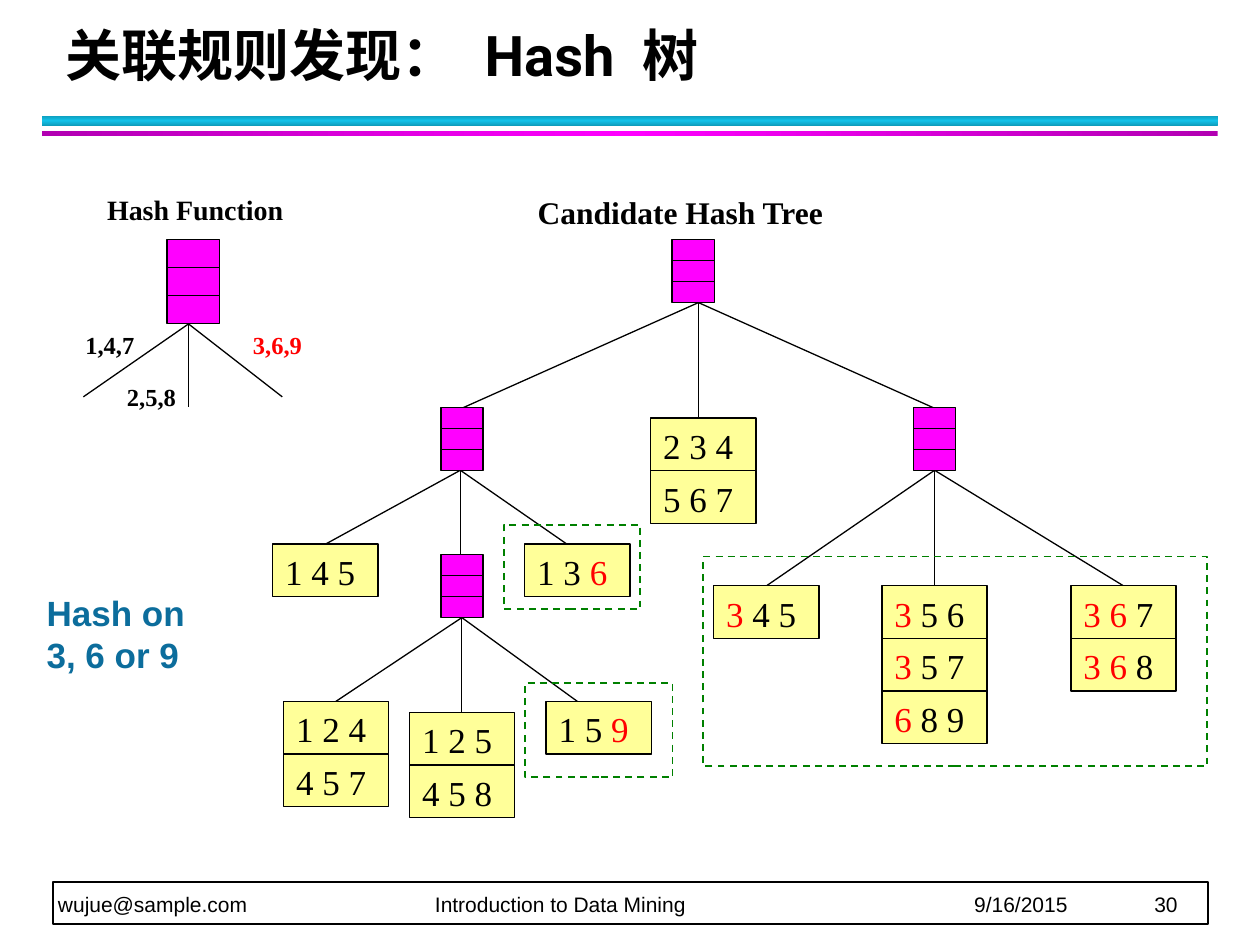
"""Build a slide that explains a candidate hash tree."""
import copy
from dataclasses import dataclass
from typing import Any, Optional

import pptx
import pptx.dml.color
import pptx.enum.dml
import pptx.enum.shapes
import pptx.enum.text
import pptx.oxml
import pptx.oxml.ns
import pptx.util

Cm = pptx.util.Cm
Pt = pptx.util.Pt
ANCHOR = pptx.enum.text.MSO_ANCHOR
SERIF, SANS, HEADING = "Times New Roman", "Arial", "Roboto"
BLACK, RED, GREEN, MAGENTA, YELLOW = "000000", "FF0000", "008000", "FF00FF", "FFFF99"
LEAF_WIDTH, LEAF_HEIGHT = 2.12, 1.06


@dataclass(frozen=True)
class Box:
    left: float
    top: float
    width: float
    height: float


@dataclass(frozen=True)
class Branching:
    hub: tuple[float, float]
    ends: tuple[tuple[float, float], ...]


@dataclass(frozen=True)
class Leaf:
    left: float
    top: float
    itemsets: tuple[str, ...]


@dataclass(frozen=True)
class Label:
    text: str
    box: Box
    size: int
    color: str = BLACK
    font: str = SERIF


BANDS = (
    (Box(0.85, 2.33, 23.7, 0.21), ("0E9BBA", "12C2E9", "0E9BBA"), 90),
    (Box(0.85, 2.64, 23.7, 0.1), ("B200B2", "FF00FF", "B200B2"), 0),
)
BRANCHINGS = (
    Branching((14.08, 6.1), ((9.31, 8.23), (14.08, 8.43), (18.84, 8.23))),
    Branching((9.28, 9.48), ((6.56, 10.97), (9.28, 11.18), (11.43, 10.97))),
    Branching((18.84, 9.48), ((15.45, 11.81), (18.84, 11.81), (22.65, 11.81))),
    Branching((9.31, 12.45), ((6.77, 14.14), (9.31, 14.36), (11.64, 14.14))),
    Branching((3.8, 6.53), ((1.68, 8.0), (3.8, 8.2), (5.69, 8.0))),
)
BUCKETS = (
    Box(13.55, 4.83, 0.85, 1.27),
    Box(8.89, 8.21, 0.85, 1.27),
    Box(18.41, 8.21, 0.85, 1.27),
    Box(8.89, 11.18, 0.85, 1.27),
    Box(3.37, 4.83, 1.06, 1.69),
)
LEAVES = (
    Leaf(13.12, 8.43, ("2 3 4", "5 6 7")),
    Leaf(5.5, 10.97, ("1 4 5",)),
    Leaf(10.58, 10.97, ("1 3 |6",)),
    Leaf(14.39, 11.81, ("|3| 4 5",)),
    Leaf(17.78, 11.81, ("|3| 5 6", "|3| 5 7", "|6| 8 9")),
    Leaf(21.59, 11.81, ("|3 6| 7", "|3 6| 8")),
    Leaf(5.72, 14.14, ("1 2 4", "4 5 7")),
    Leaf(8.26, 14.36, ("1 2 5", "4 5 8")),
    Leaf(11.01, 14.14, ("1 5 |9",)),
)
LABELS = (
    Label("1,4,7", Box(1.47, 6.53, 1.6, 0.86), 14),
    Label("2,5,8", Box(2.31, 7.57, 1.6, 0.86), 14),
    Label("3,6,9", Box(4.85, 6.53, 1.6, 0.86), 14, RED),
    Label("Hash Function", Box(1.91, 3.76, 4.4, 0.94), 16),
    Label("Candidate Hash Tree", Box(10.59, 3.76, 6.6, 1.02), 18),
    Label("Hash on 3, 6 or 9", Box(0.69, 11.79, 4.01, 1.96), 20, "0C6D9C", SANS),
)
HIGHLIGHTS = (
    Box(10.59, 13.77, 2.97, 1.9),
    Box(14.18, 11.22, 10.16, 4.23),
    Box(10.16, 10.58, 2.75, 1.7),
)
FOOTER_TABS = (7.6, 18.47, 22.1)


def rgb(color: str) -> pptx.dml.color.RGBColor:
    return pptx.dml.color.RGBColor.from_string(color)


def apply(target: Any, values: dict[str, Any]) -> None:
    for name, value in values.items():
        setattr(target, name, value)


def lengths(box: Box) -> tuple:
    return Cm(box.left), Cm(box.top), Cm(box.width), Cm(box.height)


def add_rectangle(slide: Any, box: Box, fill: Optional[str], line: Optional[str] = BLACK,
                  weight: float = 0.75) -> Any:
    rectangle = slide.shapes.add_shape(pptx.enum.shapes.MSO_SHAPE.RECTANGLE, *lengths(box))
    rectangle.shadow.inherit = False
    if fill:
        rectangle.fill.solid()
        rectangle.fill.fore_color.rgb = rgb(fill)
    else:
        rectangle.fill.background()
    if line:
        rectangle.line.color.rgb = rgb(line)
        rectangle.line.width = Pt(weight)
    else:
        rectangle.line.fill.background()
    return rectangle


def add_band(slide: Any, box: Box, colors: tuple[str, ...], angle: int) -> None:
    band = add_rectangle(slide, box, None, None)
    band.fill.gradient()
    band.fill.gradient_angle = angle
    stops = next(band._element.iter(pptx.oxml.ns.qn("a:gsLst")))
    stops.append(copy.deepcopy(stops[0]))
    for index, (stop, color) in enumerate(zip(band.fill.gradient_stops, colors)):
        apply(stop, {"position": index / 2})
        stop.color.rgb = rgb(color)


def add_line(slide: Any, start: tuple[float, float], end: tuple[float, float]) -> None:
    points = [Cm(length) for length in (*start, *end)]
    line = slide.shapes.add_connector(pptx.enum.shapes.MSO_CONNECTOR.STRAIGHT, *points)
    line.line.color.rgb = rgb(BLACK)
    line.line.width = Pt(0.75)
    line._element.spPr.append(pptx.oxml.parse_xml(f'<a:effectLst {pptx.oxml.ns.nsdecls("a")}/>'))


def start_text(shape: Any, anchor: Any = ANCHOR.TOP, side: float = 0.25, edge: float = 0.13) -> Any:
    apply(shape.text_frame, {
        "word_wrap": True, "vertical_anchor": anchor, "margin_left": Cm(side),
        "margin_right": Cm(side), "margin_top": Cm(edge), "margin_bottom": Cm(edge)})
    paragraph = shape.text_frame.paragraphs[0]
    paragraph.alignment = pptx.enum.text.PP_ALIGN.LEFT
    return paragraph


def add_run(paragraph: Any, text: str, size: int, color: str, font: str, bold: bool) -> Any:
    run = paragraph.add_run()
    run.text = text
    apply(run.font, {"name": font, "size": Pt(size), "bold": bold})
    run.font.color.rgb = rgb(color)
    return run


def add_bucket(slide: Any, box: Box) -> None:
    add_rectangle(slide, box, MAGENTA)
    for third in (1, 2):
        level = box.top + box.height * third / 3
        add_line(slide, (box.left, level), (box.left + box.width, level))


def add_leaf(slide: Any, leaf: Leaf) -> None:
    for row, itemset in enumerate(leaf.itemsets):
        box = Box(leaf.left, leaf.top + row * LEAF_HEIGHT, LEAF_WIDTH, LEAF_HEIGHT)
        paragraph = start_text(add_rectangle(slide, box, YELLOW))
        for index, items in enumerate(itemset.split("|")):
            if items:
                add_run(paragraph, items, 20, RED if index % 2 else BLACK, SERIF, False)


def add_label(slide: Any, label: Label) -> None:
    paragraph = start_text(slide.shapes.add_textbox(*lengths(label.box)))
    add_run(paragraph, label.text, label.size, label.color, label.font, True)


def add_title(slide: Any) -> None:
    title = slide.shapes.add_textbox(*lengths(Box(1.07, 0.43, 23.01, 1.47)))
    paragraph = start_text(title, ANCHOR.BOTTOM)
    paragraph.line_spacing = Pt(36)
    for text in ("关联规则发现：", " ", "Hash", " ", "树"):
        run = add_run(paragraph, text, 32, BLACK, HEADING, True)
        if text == " ":
            run.font._element.set("spc", "800")


def add_footer(slide: Any) -> None:
    add_rectangle(slide, Box(1.07, 17.78, 23.28, 0.85), "FFFFFF", weight=1)
    footer = slide.shapes.add_textbox(*lengths(Box(1.07, 17.07, 23.24, 1.42)))
    paragraph = start_text(footer, ANCHOR.BOTTOM, 0.1, 0)
    paragraph.line_spacing = Pt(20)
    tabs = "".join(f'<a:tab pos="{Cm(stop)}" algn="l"/>' for stop in FOOTER_TABS)
    paragraph._p.get_or_add_pPr().append(pptx.oxml.parse_xml(
        f'<a:tabLst {pptx.oxml.ns.nsdecls("a")}>{tabs}</a:tabLst>'))
    text = "\t".join(("wujue@sample.com", "Introduction to Data Mining", "9/16/2015", "30"))
    add_run(paragraph, text, 12, BLACK, SANS, False)


def main() -> None:
    deck = pptx.Presentation()
    apply(deck, {"slide_width": Cm(25.4), "slide_height": Cm(19.05)})
    slide = deck.slides.add_slide(deck.slide_layouts[6])
    for band in BANDS:
        add_band(slide, *band)
    add_footer(slide)
    add_title(slide)
    for branching in BRANCHINGS:
        for end in branching.ends:
            add_line(slide, branching.hub, end)
    for bucket in BUCKETS:
        add_bucket(slide, bucket)
    for leaf in LEAVES:
        add_leaf(slide, leaf)
    for label in LABELS:
        add_label(slide, label)
    for highlight in HIGHLIGHTS:
        frame = add_rectangle(slide, highlight, None, GREEN, 1)
        frame.line.dash_style = pptx.enum.dml.MSO_LINE.DASH
    deck.save("out.pptx")


if __name__ == "__main__":
    main()
